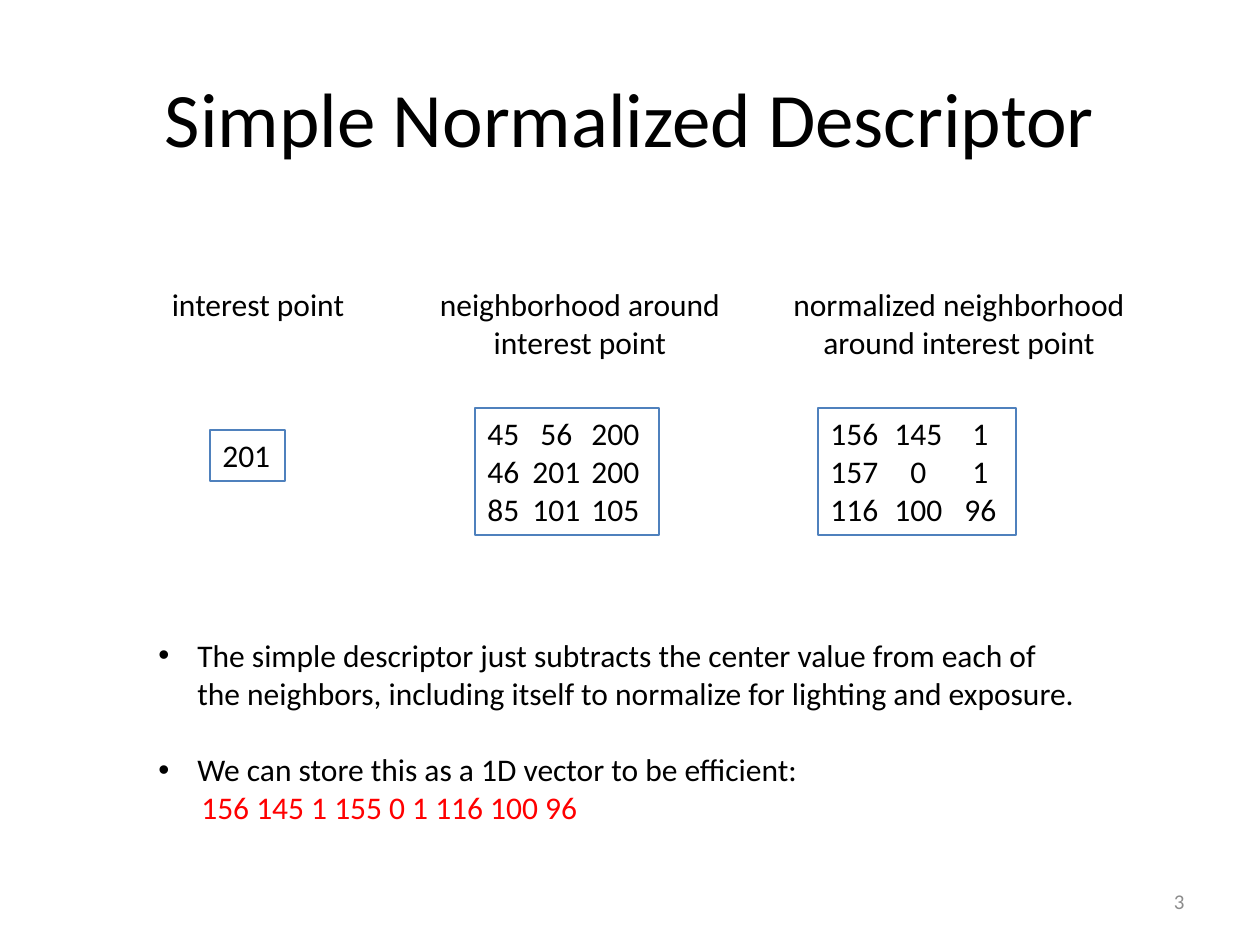
from dataclasses import dataclass

from lxml import etree
from pptx import Presentation
from pptx.dml.color import RGBColor
from pptx.enum.shapes import MSO_SHAPE
from pptx.enum.text import MSO_ANCHOR, PP_ALIGN
from pptx.oxml.ns import qn
from pptx.slide import Slide
from pptx.util import Pt

BLACK = RGBColor(0x00, 0x00, 0x00)
GRAY = RGBColor(0x8C, 0x8C, 0x8C)
RED = RGBColor(0xFF, 0x00, 0x00)
BLUE = RGBColor(0x4F, 0x81, 0xBD)
RECTANGLE = MSO_SHAPE.RECTANGLE
TOP, MIDDLE = MSO_ANCHOR.TOP, MSO_ANCHOR.MIDDLE
LEFT, CENTER, RIGHT = PP_ALIGN.LEFT, PP_ALIGN.CENTER, PP_ALIGN.RIGHT
PX_PER_INCH = 126


def px(length):
    """Convert px to EMU."""
    return round(length * 914400 / PX_PER_INCH)


@dataclass
class SlideBuilder:
    """Hold the text style and the current slide."""

    slide: Slide
    font: str = "Calibri"
    size: int = 18

    def style(self, paragraph, size=None, color=BLACK, align=LEFT):
        """Format one paragraph."""
        paragraph.alignment = align
        paragraph.font.name = self.font
        paragraph.font.size = Pt(size or self.size)
        paragraph.font.color.rgb = color

    def fill_frame(self, frame, text, anchor=TOP):
        """Put wrapping text into a frame."""
        frame.word_wrap = True
        frame.vertical_anchor = anchor
        frame.text = text
        return frame.paragraphs

    def title(self, text, left, top, width, height):
        """Fill and place the title placeholder."""
        title = self.slide.shapes.title
        title.left, title.top = px(left), px(top)
        title.width, title.height = px(width), px(height)
        heading, = self.fill_frame(title.text_frame, text, MIDDLE)
        self.style(heading, 44, align=CENTER)

    def text(self, text, left, top, width, height, anchor=TOP, **style):
        """Add a text box with one paragraph."""
        box = self.slide.shapes.add_textbox(px(left), px(top), px(width), px(height))
        paragraph, = self.fill_frame(box.text_frame, text, anchor)
        self.style(paragraph, **style)

    def matrix(self, rows, left, top, width, height, stops=()):
        """Add an outlined box of numbers in tabbed columns."""
        box = self.slide.shapes.add_shape(
            RECTANGLE, px(left), px(top), px(width), px(height))
        box.shadow.inherit = False
        box.fill.background()
        box.line.color.rgb = BLUE
        box.line.width = Pt(0.75)
        lines = "\n".join("\t".join(map(str, row)) for row in rows)
        for paragraph in self.fill_frame(box.text_frame, lines):
            if stops:
                properties = paragraph._p.get_or_add_pPr()
                tabs = etree.SubElement(properties, qn("a:tabLst"))
                for stop in stops:
                    etree.SubElement(tabs, qn("a:tab"), pos=str(px(stop)), algn="ctr")
            self.style(paragraph)

    def indent(self, paragraph, margin, bullet=None):
        """Indent a paragraph, hanging it from a bullet if one is given."""
        properties = paragraph._p.get_or_add_pPr()
        properties.set("marL", str(px(margin)))
        if bullet:
            properties.set("indent", str(-px(margin)))
            etree.SubElement(properties, qn("a:buFont"), typeface="Arial")
            etree.SubElement(properties, qn("a:buChar"), char=bullet)

    def bullet_list(self, points, vector, left, top, width, height):
        """Add bulleted points followed by the stored vector."""
        box = self.slide.shapes.add_textbox(px(left), px(top), px(width), px(height))
        lines = "\n".join([*points, vector])
        *bullets, stored = self.fill_frame(box.text_frame, lines)
        for paragraph in bullets:
            self.indent(paragraph, 39, "•")
            self.style(paragraph)
        for paragraph in bullets[1:]:
            paragraph.space_before = Pt(22)
        self.indent(stored, 43)
        self.style(stored, color=RED)


def main():
    """Build the slide."""
    deck = Presentation()
    deck.slide_width, deck.slide_height = px(1260), px(945)
    builder = SlideBuilder(deck.slides.add_slide(deck.slide_layouts[5]))
    builder.title("Simple Normalized Descriptor", 63, 38, 1134, 158)

    headings = [
        ("interest point", 258, 220),
        ("neighborhood around interest point", 580, 340),
        ("normalized neighborhood around interest point", 959, 390),
    ]
    for heading, center, width in headings:
        builder.text(heading, center - width // 2, 279, width, 89, align=CENTER)

    builder.matrix([[201]], 210, 430, 75, 51)
    neighborhood = [[45, 56, 200], [46, 201, 200], [85, 101, 105]]
    builder.matrix(neighborhood, 475, 408, 184, 127, stops=(69, 128))
    normalized = [[156, 145, 1], [157, 0, 1], [116, 100, 96]]
    builder.matrix(normalized, 818, 408, 198, 127, stops=(88, 150))

    points = [
        "The simple descriptor just subtracts the center value from each of "
        "the neighbors, including itself to normalize for lighting and exposure.",
        "We can store this as a 1D vector to be efficient:",
    ]
    builder.bullet_list(points, "156 145 1 155 0 1 116 100 96", 146, 630, 945, 204)
    builder.text("3", 903, 876, 294, 50, MIDDLE, size=12, color=GRAY, align=RIGHT)
    deck.save("out.pptx")


if __name__ == "__main__":
    main()
